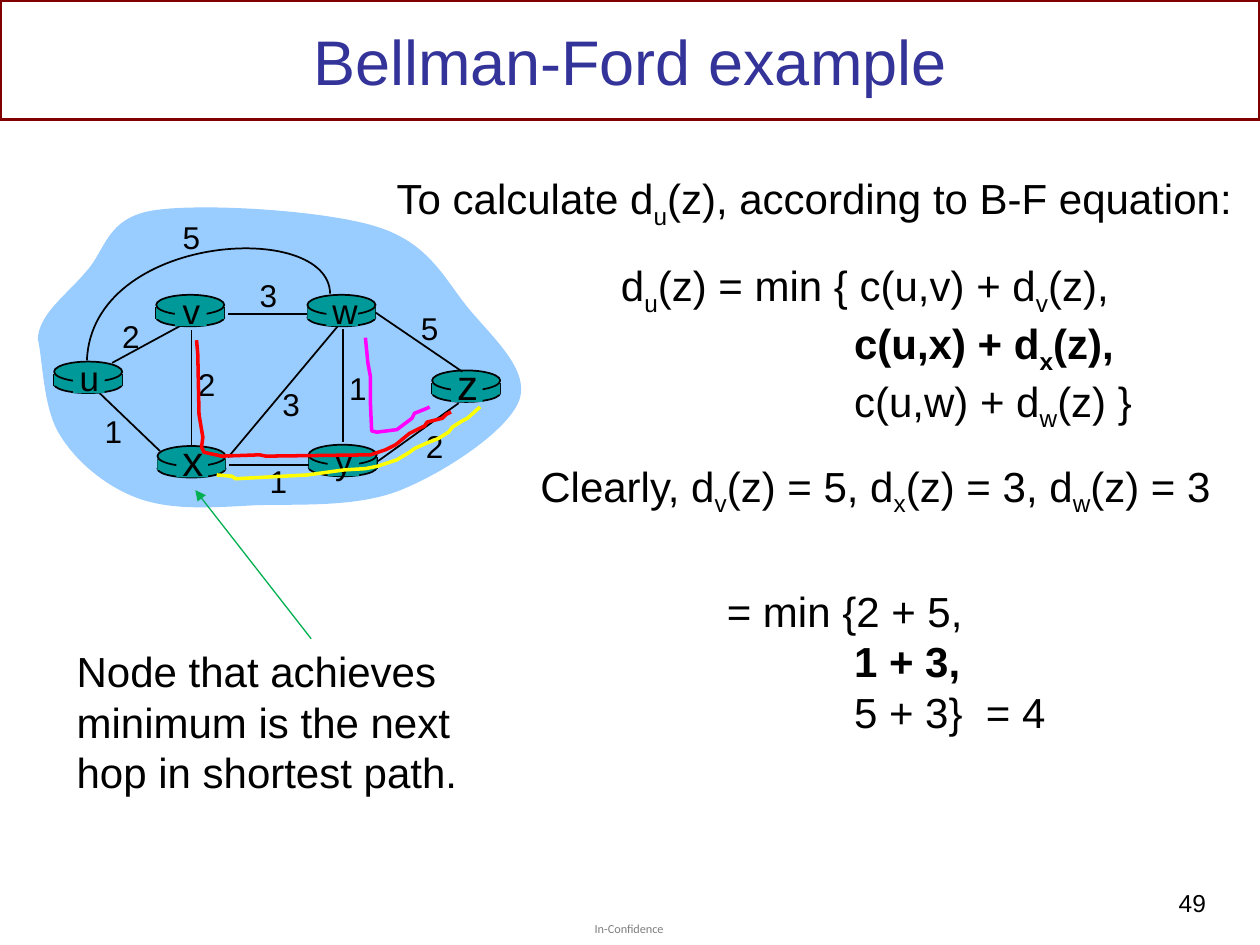
from collections import namedtuple

from lxml import etree
from pptx import Presentation
from pptx import util as u
from pptx.dml.color import RGBColor
from pptx.enum import shapes, text
from pptx.oxml import ns

PX = 9144
Box = namedtuple("Box", "left top width height")


class Theme:
    font, footer_font = "Arial", "Calibri"
    ink, title, frame, grey = "000000", "333399", "800000", "7F7F7F"
    cloud, router, arrow = "99CCFF", "009999", "00B050"
    red, yellow, magenta = "FF0000", "FFFF00", "FF00FF"
    title_size, body_size, name_size, cost_size, number_size, footer_size = 36, 24, 20, 18, 14, 7
    plain_leading, subscript_leading = 29, 33


def inside(box, left, top, width, height):
    return Box(box.left + left, box.top + top, width, height)


def paint(shape, fill=None, line=None, weight=1):
    shape.shadow.inherit = False
    if fill:
        shape.fill.solid()
        shape.fill.fore_color.rgb = RGBColor.from_string(fill)
    else:
        shape.fill.background()
    if line:
        shape.line.color.rgb = RGBColor.from_string(line)
        shape.line.width = u.Pt(weight)
    else:
        shape.line.fill.background()


def add_preset(slide, kind, box, **style):
    shape = slide.shapes.add_shape(kind, *(v * PX for v in box))
    paint(shape, **style)


def add_line(slide, box, start, end, color=Theme.ink, weight=1, arrow=False):
    points = [(box.left + x, box.top + y) for x, y in (start, end)]
    line = slide.shapes.add_connector(
        shapes.MSO_CONNECTOR.STRAIGHT, *(v * PX for point in points for v in point))
    line.line.color.rgb = RGBColor.from_string(color)
    line.line.width = u.Pt(weight)
    if arrow:
        etree.SubElement(line.line._get_or_add_ln(), ns.qn("a:tailEnd"), type="triangle")
    etree.SubElement(line._element.spPr, ns.qn("a:effectLst"))


def add_outline(slide, box, points, curved=False, closed=False, **style):
    builder = slide.shapes.build_freeform(*points[0], scale=PX)
    builder.add_line_segments(points[1:], close=closed)
    shape = builder.convert_to_shape(box.left * PX, box.top * PX)
    if curved:
        segments = list(shape._element.iter(ns.qn("a:lnTo")))[:len(points) - 1]
        for first in range(0, len(segments), 3):
            curve, *others = segments[first:first + 3]
            for other in others:
                curve.append(other[0])
                other.getparent().remove(other)
            curve.tag = ns.qn("a:cubicBezTo")
    paint(shape, **style)


def add_text(slide, box, lines, size, color=Theme.ink, font=Theme.font,
             align=text.PP_ALIGN.LEFT, wrap=True, middle=False, inset=True):
    frame = slide.shapes.add_textbox(*(v * PX for v in box)).text_frame
    frame.word_wrap = wrap
    if middle:
        frame.vertical_anchor = text.MSO_ANCHOR.MIDDLE
    if not inset:
        frame.margin_left = frame.margin_right = frame.margin_top = frame.margin_bottom = 0
    for index, line in enumerate(lines):
        paragraph = frame.paragraphs[0] if index == 0 else frame.add_paragraph()
        for position, part in enumerate(line.split("|")):
            run = paragraph.add_run()
            run.text = part
            if position % 2:
                run._r.get_or_add_rPr().set("baseline", "-25000")
        paragraph.alignment = align
        paragraph.font.name = font
        paragraph.font.size = u.Pt(size)
        paragraph.font.color.rgb = RGBColor.from_string(color)
        if size == Theme.body_size and wrap:
            paragraph.line_spacing = u.Pt(
                Theme.subscript_leading if "|" in line else Theme.plain_leading)
    return frame.paragraphs


def add_header(slide, box):
    add_preset(slide, shapes.MSO_SHAPE.RECTANGLE, box, line=Theme.frame, weight=2)
    add_text(slide, inside(box, 50, 8, 900, 79), ["Bellman-Ford example"], Theme.title_size,
             Theme.title, align=text.PP_ALIGN.CENTER, middle=True)


def add_footer(slide, box):
    add_text(slide, inside(box, 472, 31, 57, 12), ["In-Confidence"], Theme.footer_size,
             Theme.grey, Theme.footer_font, wrap=False, inset=False)
    add_text(slide, inside(box, 893, 0, 74, 50), ["49"], Theme.number_size,
             align=text.PP_ALIGN.RIGHT)


def add_router(slide, box):
    teal = Theme.router
    add_preset(slide, shapes.MSO_SHAPE.OVAL, inside(box, 0, 11, 54, 14), fill=teal, line=Theme.ink)
    for side in (0, box.width):
        add_line(slide, box, (side, 10), (side, 19))
    add_preset(slide, shapes.MSO_SHAPE.RECTANGLE, inside(box, 0, 10, 54, 9), fill=teal)
    add_preset(slide, shapes.MSO_SHAPE.OVAL, inside(box, 0, 0, 54, 16), fill=teal, line=Theme.ink)


def add_centred(slide, box, x, y, label, size):
    height = 50 if size == Theme.body_size else 42
    add_text(slide, inside(box, x - 18, y - height // 2, 36, height), [label], size,
             align=text.PP_ALIGN.CENTER, wrap=False)


def add_network(slide, box):
    cloud = [(30, 169), (31, 149), (53, 134), (68, 116), (84, 99), (84, 73), (122, 67),
             (161, 61), (258, 67), (299, 80), (341, 93), (353, 122), (372, 145),
             (391, 168), (421, 194), (412, 218), (403, 242), (353, 275), (318, 289),
             (283, 303), (237, 300), (203, 301), (168, 303), (137, 305), (111, 296),
             (85, 287), (61, 267), (48, 246), (34, 225), (34, 185), (30, 169)]
    add_outline(slide, box, cloud, curved=True, closed=True, fill=Theme.cloud)

    routers = {"u": (43, 187), "x": (125, 254), "v": (124, 134),
               "w": (244, 134), "y": (245, 253), "z": (343, 194)}
    add_line(slide, box, (89, 188), (148, 156))
    for left, top in routers.values():
        add_router(slide, inside(box, left, top, 54, 25))

    edges = [((272, 161), (272, 251)), ((152, 162), (152, 255)), ((181, 263), (268, 159)),
             ((300, 266), (364, 220)), ((245, 269), (182, 269)), ((127, 258), (79, 212)),
             ((244, 149), (181, 149)), ((367, 195), (298, 148))]
    for start, end in edges:
        add_line(slide, box, start, end)
    add_outline(slide, box, [(262, 133), (261, 74), (73, 85), (69, 186)],
                curved=True, line=Theme.ink)

    for name, (left, top) in routers.items():
        add_preset(slide, shapes.MSO_SHAPE.RECTANGLE, inside(box, left + 15, top + 2, 25, 23),
                   fill=Theme.router)
        large = name in "xz"
        add_centred(slide, box, left + 28, top + (11 if large else 12), name,
                    Theme.body_size if large else Theme.name_size)

    costs = [("2", 104, 168), ("2", 164, 206), ("1", 90, 243), ("3", 231, 222),
             ("1", 221, 283), ("1", 284, 209), ("2", 345, 255), ("5", 341, 161),
             ("3", 213, 135), ("5", 152, 89)]
    for cost, x, y in costs:
        add_centred(slide, box, x, y, cost, Theme.cost_size)

    routes = {
        Theme.red: [(156, 170), (157, 181), (158, 229), (161, 247), (160, 255), (162, 259),
                    (176, 262), (206, 261), (211, 262), (294, 261), (306, 257), (314, 253),
                    (325, 244), (337, 238), (339, 235), (351, 232), (354, 229), (358, 227)],
        Theme.yellow: [(172, 277), (184, 278), (187, 280), (244, 277), (273, 273), (290, 272),
                       (300, 270), (315, 265), (325, 259), (329, 256), (338, 252), (348, 248),
                       (356, 243), (359, 239), (367, 234), (371, 232), (381, 223)],
        Theme.magenta: [(290, 168), (292, 188), (294, 199), (294, 220), (295, 242), (299, 243),
                        (315, 241), (319, 238), (327, 232), (329, 228), (339, 224), (341, 223)],
    }
    for color, points in routes.items():
        add_outline(slide, box, points, line=color, weight=2)


def add_equations(slide, box):
    size = Theme.body_size
    add_text(slide, inside(box, 119, 260, 581, 50),
             ["Clearly, d|v|(z) = 5, d|x|(z) = 3, d|w|(z) = 3"], size)
    rows = add_text(slide, inside(box, 183, 101, 431, 374),
                    ["d|u|(z) = min { c(u,v) + d|v|(z),", "c(u,x) + d|x|(z),",
                     "c(u,w) + d|w|(z) }", "= min {2 + 5,", "1 + 3,", "5 + 3}  = 4"], size)
    for row, indent in zip(rows, (0, 185, 185, 84, 185, 185)):
        row._p.get_or_add_pPr().set("marL", str(indent * PX))
    for best in (rows[1], rows[4]):
        best.font.bold = True
    rows[3].space_before = u.Pt(3 * Theme.plain_leading)
    add_text(slide, inside(box, 5, 32, 701, 50),
             ["To calculate d|u|(z), according to B-F equation:"], size)


def add_next_hop_note(slide, box):
    add_text(slide, inside(box, 51, 127, 390, 131),
             ["Node that achieves minimum is the next", "hop in shortest path."], Theme.body_size)
    add_line(slide, box, (247, 127), (155, 9), Theme.arrow, 0.75, arrow=True)


def main():
    presentation = Presentation()
    presentation.slide_width, presentation.slide_height = 1000 * PX, 750 * PX
    slide = presentation.slides.add_slide(presentation.slide_layouts[6])
    add_header(slide, Box(0, 0, 1000, 95))
    add_footer(slide, Box(0, 700, 1000, 50))
    add_network(slide, Box(0, 100, 430, 310))
    add_equations(slide, Box(300, 100, 700, 480))
    add_next_hop_note(slide, Box(0, 380, 450, 260))
    presentation.save("out.pptx")


if __name__ == "__main__":
    main()
